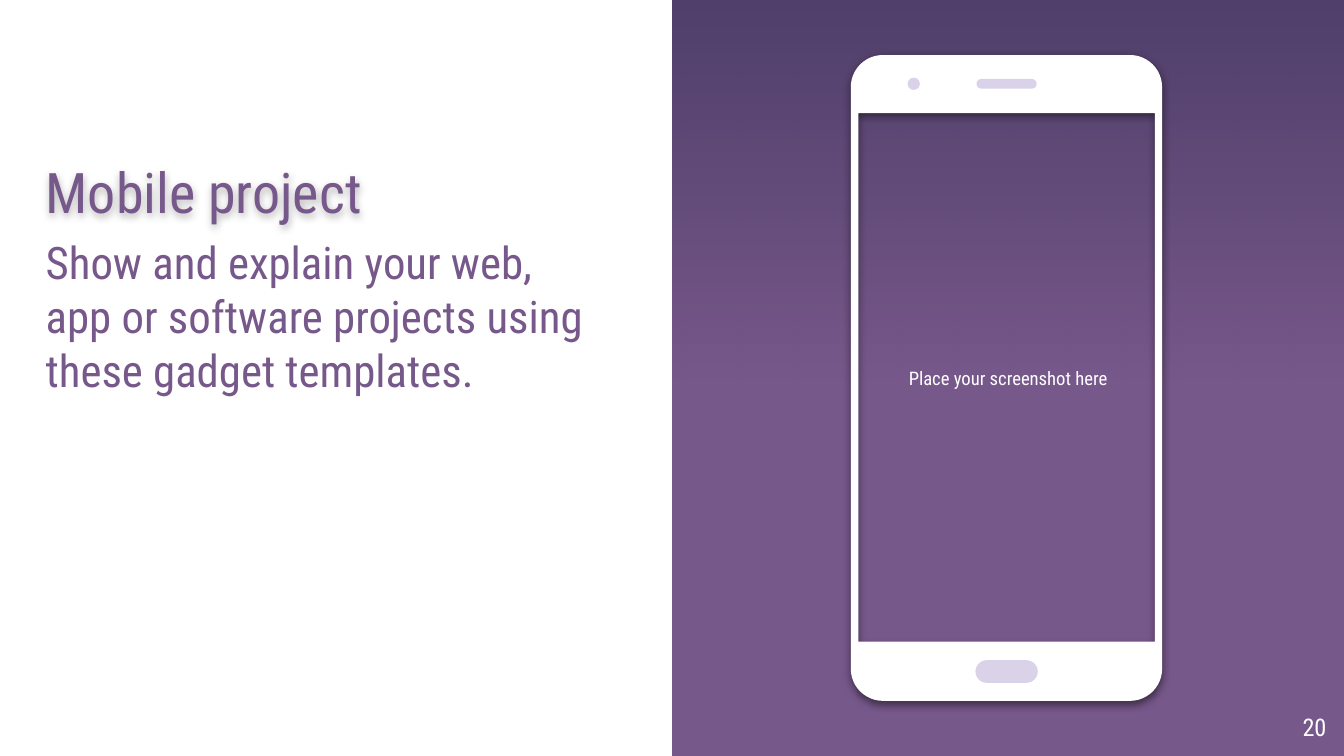
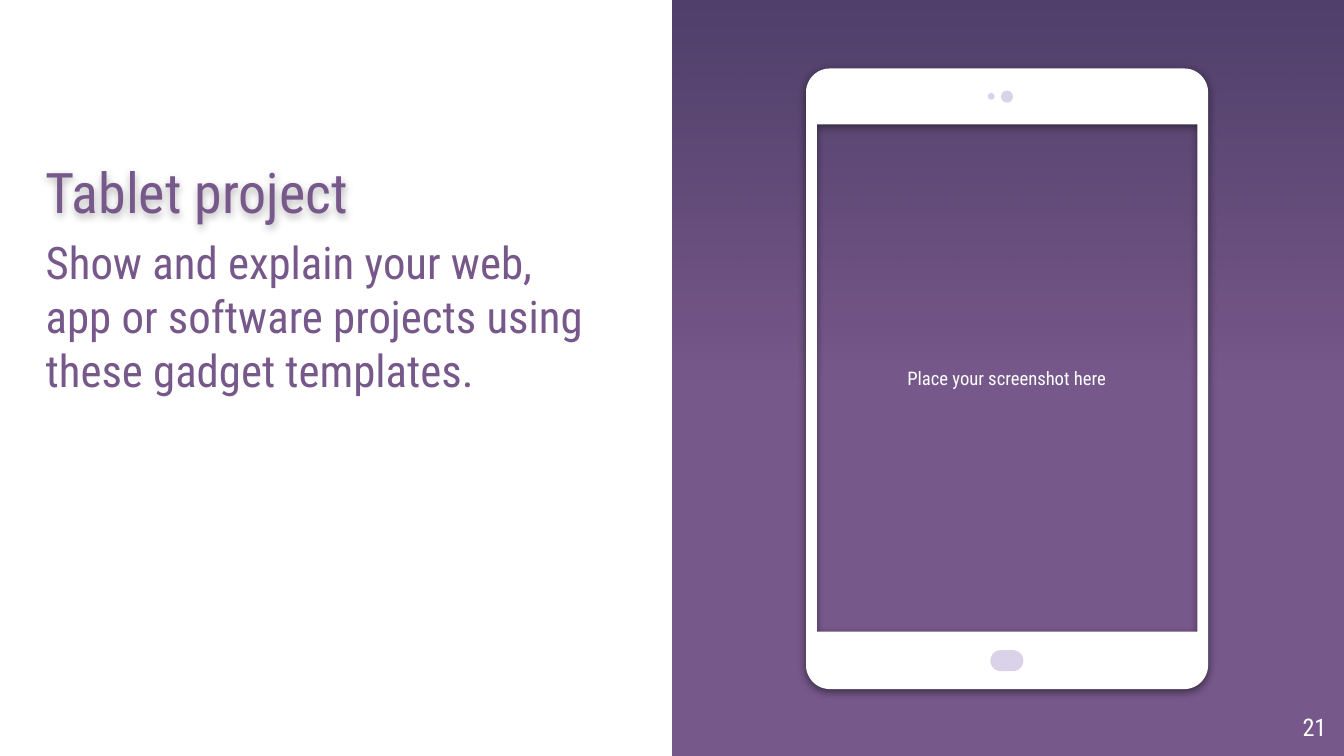
import math
from pptx import Presentation
from pptx import util as u
from pptx.dml.color import RGBColor
from pptx.enum import shapes, text
from pptx.oxml import parse_xml
from pptx.oxml import ns

PURPLE, WHITE, LILAC = "77588B", "FFFFFF", "D9D2E9"
OVAL, PILL = shapes.MSO_SHAPE.OVAL, shapes.MSO_SHAPE.ROUNDED_RECTANGLE
MIDDLE, BOTTOM = text.MSO_ANCHOR.MIDDLE, text.MSO_ANCHOR.BOTTOM
CENTER, RIGHT = text.PP_ALIGN.CENTER, text.PP_ALIGN.RIGHT

DEVICES = [
    {"title": "Mobile project", "number": "20",
     "body": (455.8, 29.5, 166.8, 346), "radius": 17.2,
     "screen": (459.8, 60.7, 158.9, 283.1), "hint": (460.8, 61.9, 158.4, 281.5),
     "parts": [(PILL, (522.6, 353.7, 33.4, 12.1)),
               (OVAL, (486.2, 41.6, 6.6, 6.6)),
               (PILL, (523.1, 42.3, 32.3, 5.2))]},
    {"title": "Tablet project", "number": "21",
     "body": (431.8, 36.7, 215.4, 332.5), "radius": 12.8,
     "screen": (437.6, 66.7, 203.8, 271.7), "hint": (437, 67, 204.5, 270.7),
     "parts": [(PILL, (530.6, 348.3, 17.7, 11.3)),
               (OVAL, (529.2, 49.8, 3.6, 3.6)),
               (OVAL, (536.2, 48.5, 6.5, 6.5))]},
]


def color(value):
    return RGBColor.from_string(value)


def lengths(values):
    return [u.Pt(value) for value in values]


def corners(frame):
    left, top, width, height = frame
    right, bottom = left + width, top + height
    return [(left, top), (left, bottom), (right, bottom), (right, top)]


def rounded_outline(frame, radius, steps=12):
    left, top, width, height = frame
    centers = corners((left + radius, top + radius,
                       width - 2 * radius, height - 2 * radius))
    points = []
    for start, (x, y) in zip((180, 270, 0, 90), (centers[i] for i in (0, 3, 2, 1))):
        for step in range(steps + 1):
            angle = math.radians(start + 90 * step / steps)
            points.append((x + radius * math.cos(angle), y + radius * math.sin(angle)))
    return points


class Deck:
    font = "Roboto Condensed"

    def __init__(self):
        self.deck = Presentation()
        self.deck.slide_width, self.deck.slide_height = lengths((720, 405))
        self.page = None

    def new_page(self):
        self.page = self.deck.slides.add_slide(self.deck.slide_layouts[6])
        fill = self.page.background.fill
        fill.solid()
        fill.fore_color.rgb = color(PURPLE)
        self.shade((211.7, -0.7, 508.3, 203.8))
        self.shape(self.page.shapes, shapes.MSO_SHAPE.RECTANGLE,
                   (-0.7, -0.7, 360.7, 406.4), WHITE)

    def paint(self, shape, fill):
        shape.fill.solid()
        shape.fill.fore_color.rgb = color(fill)
        shape.line.fill.background()
        shape.shadow.inherit = False
        return shape

    def shape(self, parent, kind, frame, fill):
        shape = parent.add_shape(kind, *lengths(frame))
        if kind == PILL:
            shape.adjustments[0] = 0.5
        return self.paint(shape, fill)

    def shade(self, frame):
        band = self.shape(self.page.shapes, shapes.MSO_SHAPE.RECTANGLE, frame, "020F2B")
        stops = "".join(
            f'<a:gs pos="{place}"><a:srgbClr val="{tone}">'
            f'<a:alpha val="{alpha}"/></a:srgbClr></a:gs>'
            for place, tone, alpha in ((0, "020F2B", 34000), (100000, "010C16", 0)))
        gradient = parse_xml(f'<a:gradFill {ns.nsdecls("a")} rotWithShape="1"><a:gsLst>{stops}'
                             '</a:gsLst><a:lin ang="5400000" scaled="0"/></a:gradFill>')
        properties = band.element.spPr
        properties.replace(properties.find(ns.qn("a:solidFill")), gradient)

    def drop_shadow(self, shape, alpha):
        shape.shadow.inherit = False
        effects = shape.element.spPr.find(ns.qn("a:effectLst"))
        effects.append(parse_xml(
            f'<a:outerShdw {ns.nsdecls("a")} blurRad="{u.Pt(4.5)}" dist="{u.Pt(1.5)}" '
            'dir="5400000" algn="bl" rotWithShape="0"><a:srgbClr val="000000">'
            f'<a:alpha val="{alpha * 1000}"/></a:srgbClr></a:outerShdw>'))

    def label(self, words, frame, size, ink, inset=0, anchor=text.MSO_ANCHOR.TOP, **para_format):
        box = self.page.shapes.add_textbox(*lengths(frame))
        frame_format = {"word_wrap": True, "vertical_anchor": anchor}
        for side in ("left", "top", "right", "bottom"):
            frame_format[f"margin_{side}"] = u.Pt(inset)
        para = box.text_frame.paragraphs[0]
        span = para.add_run()
        span.text = words
        for target, values in ((box.text_frame, frame_format), (para, para_format),
                               (span.font, {"name": self.font, "size": u.Pt(size)})):
            for name, value in values.items():
                setattr(target, name, value)
        span.font.color.rgb = color(ink)
        return box

    def device(self, body, radius, screen, parts):
        group = self.page.shapes.add_group_shape()
        outer, inner = ([lengths(point) for point in points]
                        for points in (rounded_outline(body, radius), corners(screen)))
        builder = group.shapes.build_freeform(*outer[0], scale=1.0)
        builder.add_line_segments(outer[1:], close=True)
        builder.move_to(*inner[0])
        builder.add_line_segments(inner[1:], close=True)
        case = self.paint(builder.convert_to_shape(), WHITE)
        self.drop_shadow(case, 50)
        for kind, frame in parts:
            self.shape(group.shapes, kind, frame, LILAC)


def main():
    deck = Deck()
    for device in DEVICES:
        deck.new_page()
        deck.label("Show and explain your web, app or software projects using "
                   "these gadget templates.", (24.5, 126, 300, 237.6), 24, PURPLE,
                   space_before=u.Pt(6))
        deck.label("Place your screenshot here", device["hint"], 10, WHITE,
                   inset=7.2, anchor=MIDDLE, alignment=CENTER)
        deck.label(device["number"], (667.4, 373.7, 43.2, 31), 13, WHITE,
                   anchor=MIDDLE, alignment=RIGHT)
        deck.device(device["body"], device["radius"], device["screen"], device["parts"])
        title = deck.label(device["title"], (24.5, 38.2, 300, 82), 30, PURPLE, anchor=BOTTOM)
        deck.drop_shadow(title, 30)
    deck.deck.save("out.pptx")


if __name__ == "__main__":
    main()
